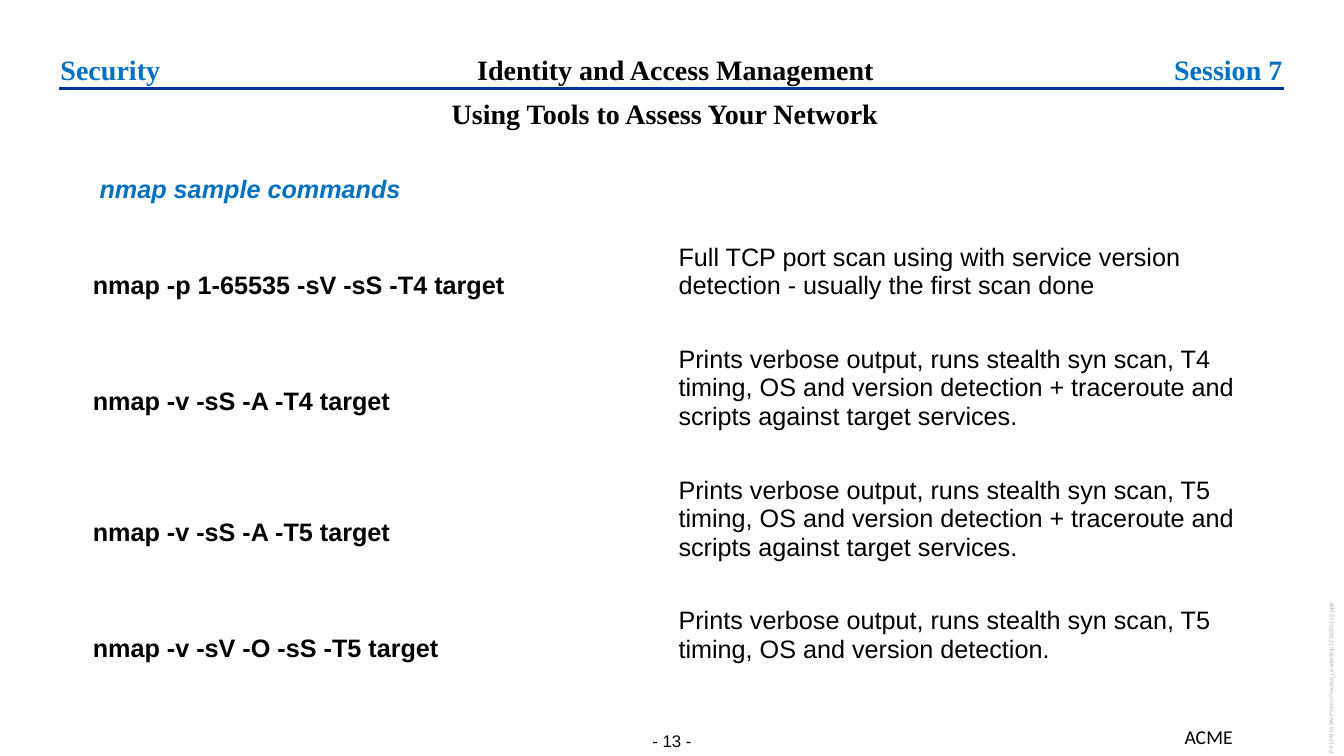
from lxml import etree
from pptx import Presentation
from pptx.dml.color import RGBColor
from pptx.enum.shapes import MSO_CONNECTOR
from pptx.enum.text import MSO_ANCHOR, PP_ALIGN
from pptx.oxml.ns import qn
from pptx.util import Inches, Pt

BLACK = RGBColor(0x00, 0x00, 0x00)
BLUE = RGBColor(0x00, 0x70, 0xC0)
NAVY = RGBColor(0x00, 0x33, 0x99)
GREY = RGBColor(0xAF, 0xAF, 0xAF)

HEADING = dict(name="Times New Roman", size=Pt(20), bold=True)
BODY = dict(name="Arial", size=Pt(18))
MARGINS = ("margin_left", "margin_top", "margin_right", "margin_bottom")


def write(tf, text, font, color=BLACK, align=PP_ALIGN.LEFT):
    p = tf.paragraphs[0]
    p.alignment = align
    r = p.add_run()
    r.text = text
    r.font.color.rgb = color
    for key, value in font.items():
        setattr(r.font, key, value)


def add_text(box, text, font, color=BLACK, align=PP_ALIGN.LEFT, inset=True):
    sp = slide.shapes.add_textbox(*[Inches(v) for v in box])
    tf = sp.text_frame
    tf.word_wrap = True
    if not inset:
        for side in MARGINS:
            setattr(tf, side, 0)
    write(tf, text, font, color, align)
    return sp


prs = Presentation()
prs.slide_width, prs.slide_height = Inches(13.33), Inches(7.5)
slide = prs.slides.add_slide(prs.slide_layouts[5])

# Header
title = slide.shapes.title
title.left, title.top = Inches(0.64), Inches(0.52)
title.width, title.height = Inches(12.12), Inches(0.34)
tf = title.text_frame
tf.vertical_anchor = MSO_ANCHOR.TOP
for side in MARGINS:
    setattr(tf, side, 0)
write(tf, "Identity and Access Management", HEADING, align=PP_ALIGN.CENTER)

header_box = (0.6, 0.52, 12.12, 0.51)
add_text(header_box, "Security", HEADING, BLUE, inset=False)
add_text(header_box, "Session 7", HEADING, BLUE, PP_ALIGN.RIGHT, inset=False)

rule = slide.shapes.add_connector(
    MSO_CONNECTOR.STRAIGHT, Inches(0.59), Inches(0.88), Inches(12.74), Inches(0.88))
rule.line.color.rgb = NAVY
rule.line.width = Pt(2.25)
etree.SubElement(rule._element.spPr, qn("a:effectLst"))

add_text((0.61, 0.91, 12.04, 0.44), "Using Tools to Assess Your Network ",
         HEADING, align=PP_ALIGN.CENTER)
add_text((0.82, 1.67, 5.49, 0.4), " nmap sample commands",
         dict(BODY, bold=True, italic=True), BLUE)

# Commands and what they do
commands = [
    (1.01, "nmap -p 1-65535 -sV -sS -T4 target",
     "Full TCP port scan using with service version detection - usually the first scan done"),
    (1.3, "nmap -v -sS -A -T4 target",
     "Prints verbose output, runs stealth syn scan, T4 timing, OS and version detection "
     "+ traceroute and scripts against target services."),
    (1.3, "nmap -v -sS -A -T5 target",
     "Prints verbose output, runs stealth syn scan, T5 timing, OS and version detection "
     "+ traceroute and scripts against target services."),
    (0.99, "nmap -v -sV -O -sS -T5 target",
     "Prints verbose output, runs stealth syn scan, T5 timing, OS and version detection."),
]
table = slide.shapes.add_table(
    len(commands), 2, Inches(0.82), Inches(2.34), Inches(11.62), Inches(4.6)).table
table.first_row = table.horz_banding = False
for row, (height, command, description) in zip(table.rows, commands):
    row.height = Inches(height)
    columns = ((command, True, 0.08), (description, False, 0.35))
    for cell, (text, bold, bottom) in zip(row.cells, columns):
        cell.fill.background()
        cell.vertical_anchor = MSO_ANCHOR.MIDDLE
        cell.margin_bottom = Inches(bottom)
        write(cell.text_frame, text, dict(BODY, bold=bold))

# Footer
add_text((6.26, 7.25, 0.81, 0.21), "- 13 -", dict(name="Arial", size=Pt(12)),
         align=PP_ALIGN.CENTER, inset=False)
add_text((11.65, 7.14, 1.08, 0.34), "ACME", dict(name="Calibri", size=Pt(14)))
file_name = add_text((12.42, 6.62, 1.6, 0.1),
                     "FY12 M to SM Promo Process_Leadership 12052011 v2.pptx",
                     dict(name="Arial", size=Pt(4)), GREY, inset=False)
file_name.rotation = 270

prs.save("out.pptx")
